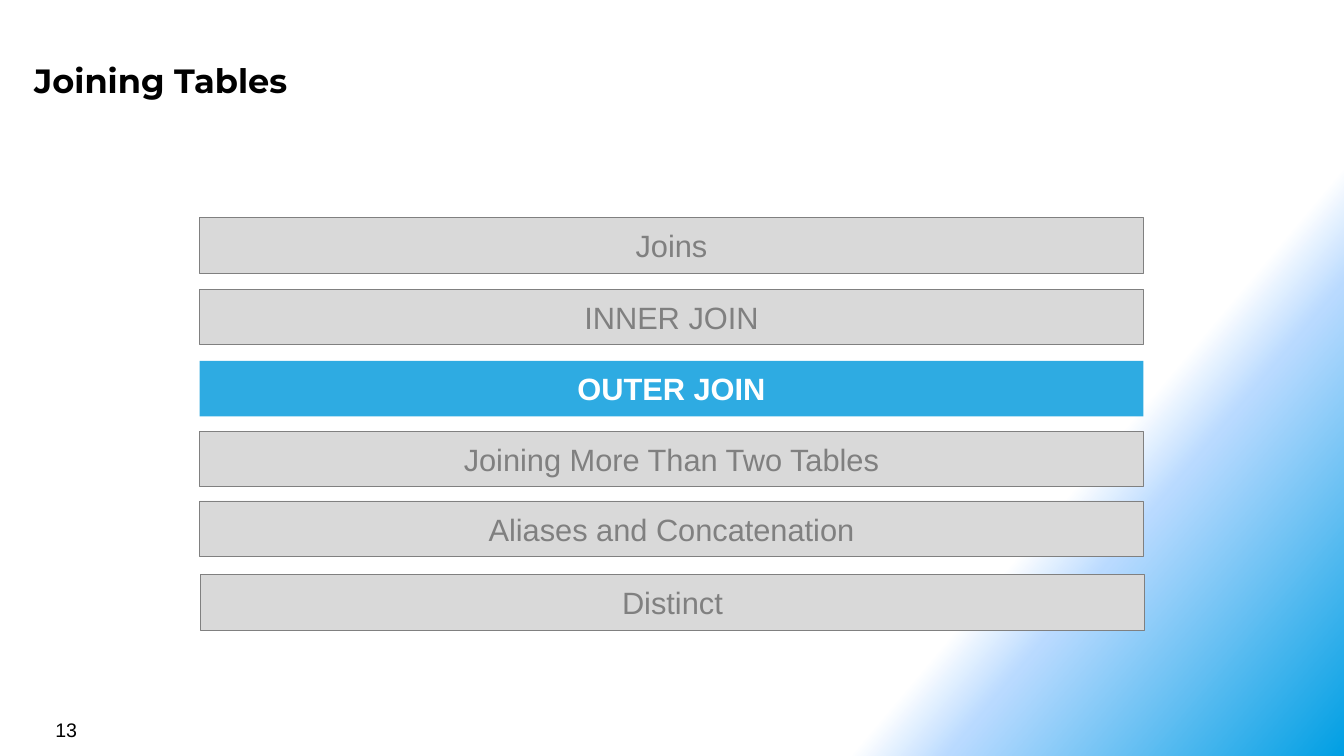
import pptx
import pptx.util
import pptx.dml.color
import pptx.enum.shapes
import pptx.enum.text
import pptx.oxml
import pptx.oxml.ns

Inches = pptx.util.Inches
Pt = pptx.util.Pt
RGB = pptx.dml.color.RGBColor.from_string
Align = pptx.enum.text.PP_ALIGN
Anchor = pptx.enum.text.MSO_ANCHOR

TITLE = "Joining Tables"
PAGE = "13"
ACTIVE = "OUTER JOIN"
TOPICS = [
    ("Joins", 1.98, 2.16),
    ("INNER JOIN", 1.98, 2.87),
    ("OUTER JOIN", 1.98, 3.58),
    ("Joining More Than Two Tables", 1.98, 4.28),
    ("Aliases and Concatenation", 1.98, 4.97),
    ("Distinct", 1.99, 5.7),
]
BAR_SIZE = (9.36, 0.55)

THEME = {
    "body_font": "Arial",
    "title_font": "Montserrat",
    "title_size": 24,
    "topic_size": 22,
    "page_size": 14,
    "text": "000000",
    "bar": "D9D9D9",
    "muted": "808080",
    "active": "2EABE2",
    "active_text": "FFFFFF",
    "gradient": [(75, "FFFFFF"), (80, "B9DAFF"), (100, "009FE3")],
    "gradient_angle": 40,
}


def paint_background(s):
    s.background.fill.gradient()
    stops = "".join(
        f'<a:gs pos="{pos * 1000}"><a:srgbClr val="{color}"/></a:gs>'
        for pos, color in THEME["gradient"]
    )
    ns = pptx.oxml.ns.nsdecls("a")
    grad = pptx.oxml.parse_xml(
        f'<a:gradFill {ns} rotWithShape="1"><a:gsLst>{stops}</a:gsLst>'
        f'<a:lin ang="{THEME["gradient_angle"] * 60000}" scaled="0"/></a:gradFill>'
    )
    old = next(s.element.iter(pptx.oxml.ns.qn("a:gradFill")))
    old.getparent().replace(old, grad)


def write(sp, text, size, font, color, bold=False, align=Align.LEFT,
          anchor=Anchor.TOP, insets=(0.1, 0.05)):
    tf = sp.text_frame
    tf.word_wrap = True
    tf.vertical_anchor = anchor
    tf.margin_left = tf.margin_right = Inches(insets[0])
    tf.margin_top = tf.margin_bottom = Inches(insets[1])
    p = tf.paragraphs[0]
    p.alignment = align
    r = p.add_run()
    r.text = text
    r.font.size = Pt(size)
    r.font.name = font
    r.font.bold = bold
    r.font.color.rgb = RGB(color)


def add_text(s, box, *args, **kwargs):
    sp = s.shapes.add_textbox(*map(Inches, box))
    write(sp, *args, **kwargs)


def add_topic(s, text, left, top):
    active = text == ACTIVE
    sp = s.shapes.add_shape(
        pptx.enum.shapes.MSO_SHAPE.RECTANGLE,
        *map(Inches, (left, top, *BAR_SIZE)),
    )
    sp.shadow.inherit = False
    sp.fill.solid()
    sp.fill.fore_color.rgb = RGB(THEME["active" if active else "bar"])
    if active:
        sp.line.fill.background()
    else:
        sp.line.color.rgb = RGB(THEME["muted"])
        sp.line.width = Pt(0.5)
    write(sp, text, THEME["topic_size"], THEME["body_font"],
          THEME["active_text" if active else "muted"], bold=active,
          align=Align.CENTER, anchor=Anchor.MIDDLE, insets=(0, 0))


def main():
    prs = pptx.Presentation()
    prs.slide_width = Inches(13.33)
    prs.slide_height = Inches(7.5)
    s = prs.slides.add_slide(prs.slide_layouts[6])
    paint_background(s)
    add_text(s, (0.26, 0.51, 12.26, 0.55), TITLE, THEME["title_size"],
             THEME["title_font"], THEME["text"], bold=True, insets=(0.08, 0.08))
    for topic in TOPICS:
        add_topic(s, *topic)
    add_text(s, (0.45, 7.07, 3.11, 0.33), PAGE, THEME["page_size"],
             THEME["body_font"], THEME["text"])
    prs.save("out.pptx")


if __name__ == "__main__":
    main()
